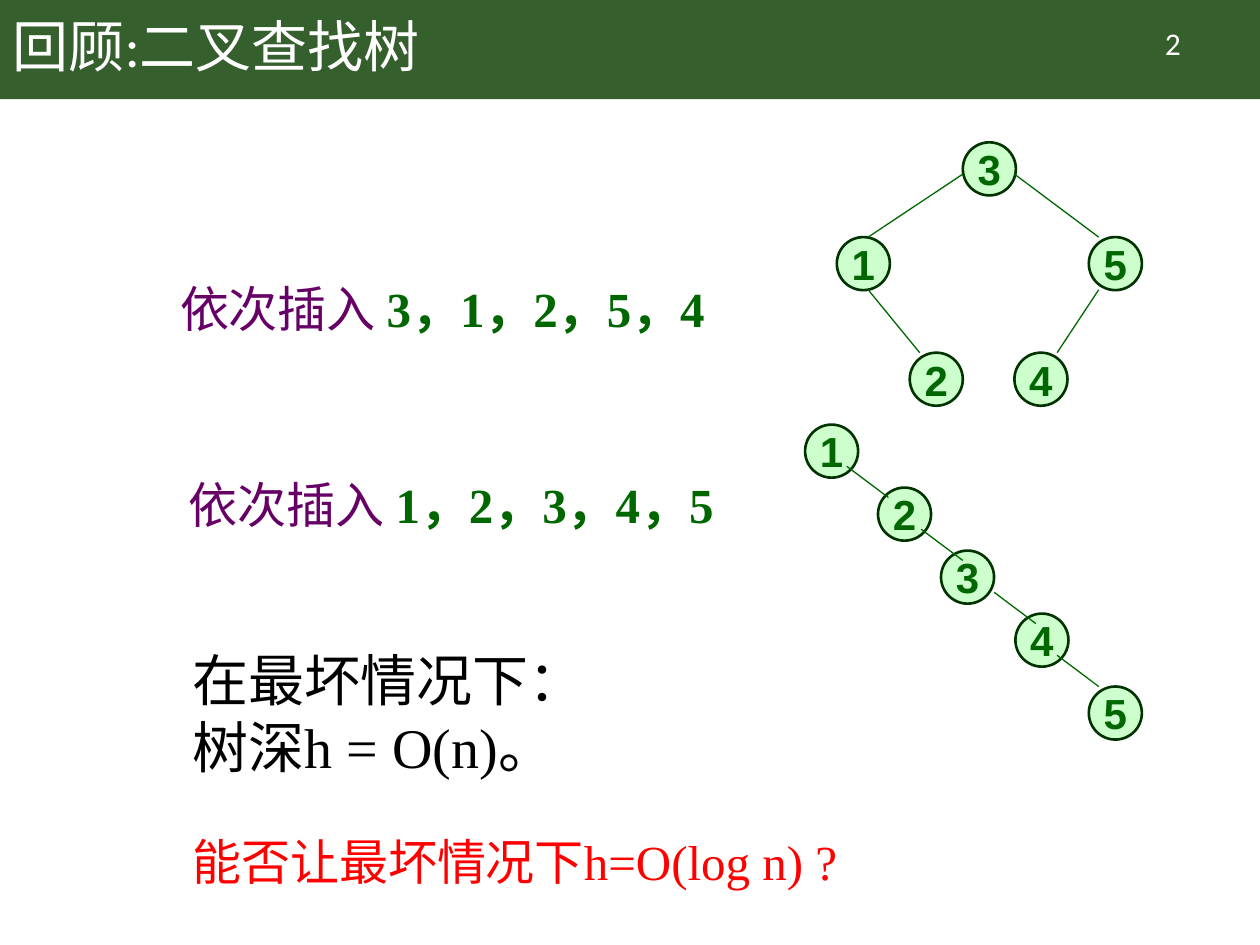
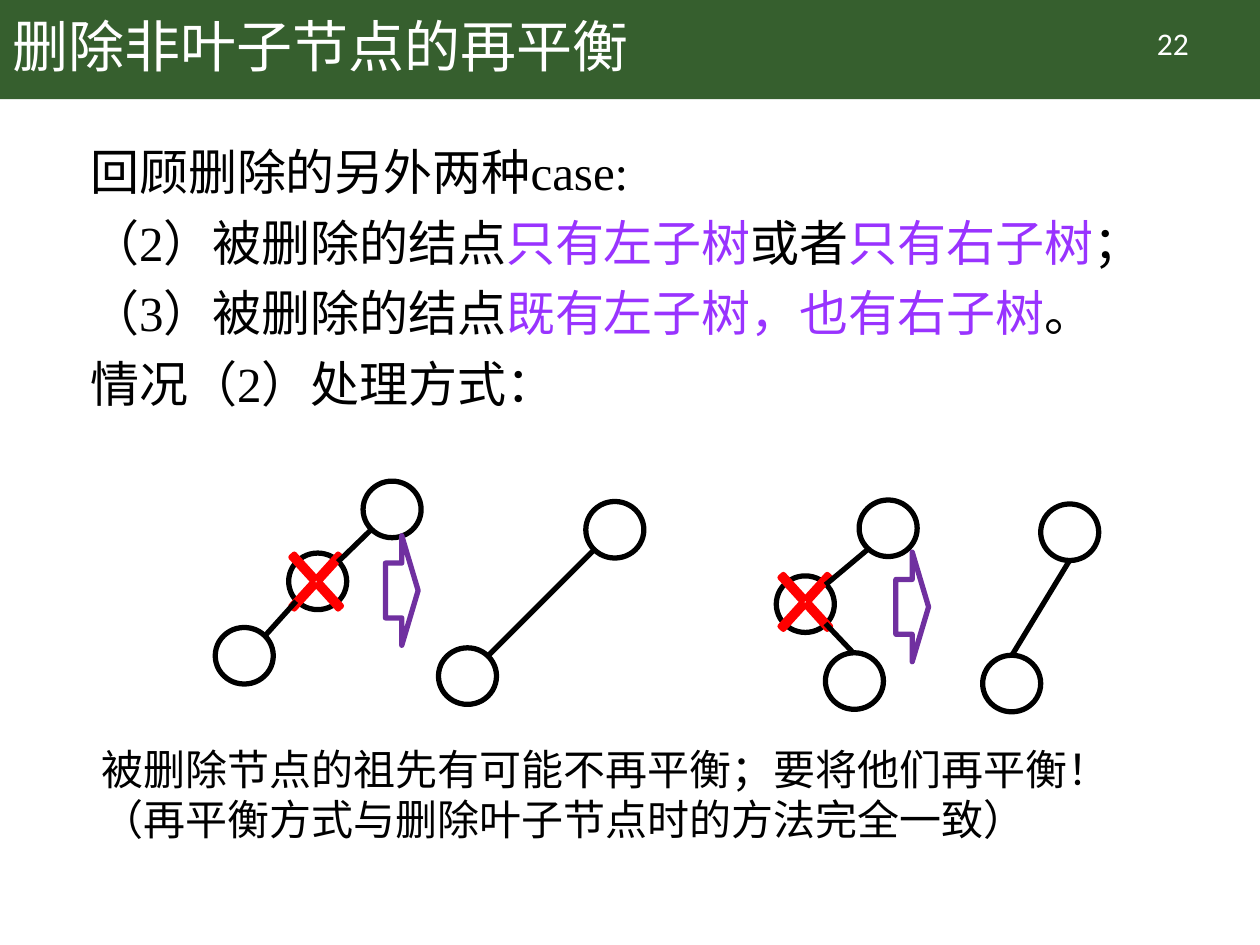
from dataclasses import dataclass
from typing import NamedTuple

from lxml.etree import SubElement
from pptx import Presentation
from pptx.dml.color import RGBColor
from pptx.enum.shapes import MSO_CONNECTOR, MSO_SHAPE
from pptx.enum.text import MSO_ANCHOR, MSO_AUTO_SIZE, PP_ALIGN
from pptx.oxml.ns import qn
from pptx.util import Cm, Pt


@dataclass(frozen=True)
class Theme:
    band: str = "365F2E"
    white: str = "FFFFFF"
    black: str = "000000"
    red: str = "FF0000"
    plum: str = "660066"
    green: str = "006600"
    mint: str = "CCFFCC"
    pine: str = "003300"
    violet: str = "9933FF"
    arrow: str = "7030A0"
    head: str = "Calibri"
    body: str = "Times New Roman"
    label: str = "Arial"
    large: int = 32
    main: int = 28
    small: int = 24
    page: int = 18
    thin: float = 0.75
    rim: float = 1.5
    thick: float = 3


THEME = Theme()


class Box(NamedTuple):
    left: float
    top: float
    width: float
    height: float


class Spot(NamedTuple):
    x: float
    y: float


class Edge(NamedTuple):
    start: Spot
    end: Spot


class Node(NamedTuple):
    key: str
    spot: Spot


class Span(NamedTuple):
    text: str
    color: str = THEME.black
    bold: bool = False


@dataclass(frozen=True)
class Note:
    box: Box
    lines: list[list[Span]]
    size: int = THEME.main
    space: float = 1.0
    before: int = 0
    grow: bool = True


@dataclass(frozen=True)
class Case:
    nodes: list[Spot]
    edges: list[Edge]
    cross: Spot
    arrow: Spot


BAND = Box(0, 0, 25.4, 2)
TITLE = Box(0, 0, 21.9, 2)
PAGE = Box(22.12, 0.36, 3.05, 1.02)
KEY_SIZE = 1.07
RING = (1.17, 1.14)
CROSS = (1.83, 2.01)
ARROW = (0.66, 2.21)


def order(keys: str, box: Box) -> Note:
    line = [Span("依次插入 ", THEME.plum), Span(keys, THEME.green, True)]
    return Note(box, [line], space=1.15)


TREE_NOTES = [
    order("3，1，2，5，4", Box(3.38, 5.31, 12.62, 1.5)),
    order("1，2，3，4，5", Box(3.56, 9.27, 12.24, 1.5)),
    Note(Box(3.63, 12.88, 17.68, 3),
         [[Span("在最坏情况下：")], [Span("树深h = O(n)。")]], THEME.large),
    Note(Box(3.63, 16.64, 17.68, 1.45),
         [[Span("能否让最坏情况下h=O(log n) ?", THEME.red)]]),
]
TREE = [
    Node("3", Spot(19.41, 2.87)),
    Node("5", Spot(21.95, 4.78)),
    Node("4", Spot(20.45, 7.11)),
    Node("1", Spot(16.87, 4.78)),
    Node("2", Spot(18.34, 7.11)),
]
TREE_EDGES = [
    Edge(Spot(19.41, 3.51), Spot(17.5, 4.78)),
    Edge(Spot(20.45, 3.51), Spot(22.15, 4.78)),
    Edge(Spot(17.5, 5.84), Spot(18.54, 7.11)),
    Edge(Spot(22.15, 5.84), Spot(21.31, 7.11)),
]
CHAIN = [
    Node("1", Spot(16.23, 8.56)),
    Node("2", Spot(17.7, 9.83)),
    Node("3", Spot(18.97, 11.1)),
    Node("4", Spot(20.47, 12.37)),
    Node("5", Spot(21.95, 13.84)),
]
CHAIN_EDGES = [
    Edge(Spot(x, 9.4 + 1.27 * row), Spot(x + 0.84, 10.03 + 1.27 * row))
    for row, x in enumerate((17.07, 18.57, 20.04, 21.31))
]
CASE_NOTES = [
    Note(Box(1.57, 2.87, 23.62, 6.05), [
        [Span("回顾删除的另外两种case:")],
        [Span("（2）被删除的结点"), Span("只有左子树", THEME.violet),
         Span("或者"), Span("只有右子树", THEME.violet), Span("；")],
        [Span("（3）被删除的结点"),
         Span("既有左子树，也有右子树", THEME.violet), Span("。")],
        [Span("情况（2）处理方式：")],
    ], space=0.9, before=10, grow=False),
    Note(Box(1.8, 14.86, 21.03, 2.31), [
        [Span("被删除节点的祖先有可能不再平衡；要将他们再平衡！")],
        [Span("（再平衡方式与删除叶子节点时的方法完全一致）")],
    ], THEME.small),
]
CASES = [
    Case(
        [Spot(7.32, 9.7), Spot(5.82, 11.15), Spot(4.34, 12.65),
         Spot(11.81, 10.11), Spot(8.84, 13.06)],
        [Edge(Spot(7.49, 10.67), Spot(6.81, 11.33)),
         Edge(Spot(5.97, 12.12), Spot(5.33, 12.83)),
         Edge(Spot(11.99, 11.07), Spot(9.83, 13.23))],
        Spot(5.46, 10.72), Spot(7.77, 10.8)),
    Case(
        [Spot(17.32, 10.08), Spot(15.65, 11.61), Spot(16.64, 13.16),
         Spot(20.98, 10.16), Spot(19.81, 13.21)],
        [Edge(Spot(17.5, 11.07), Spot(16.64, 11.79)),
         Edge(Spot(16.64, 12.57), Spot(17.2, 13.16)),
         Edge(Spot(21.56, 11.3), Spot(20.4, 13.21))],
        Spot(15.32, 11.13), Spot(18.06, 11.13)),
]


def place(box: Box) -> list[Cm]:
    return [Cm(size) for size in box]


def style(run, font: str, size: int, color: str, bold: bool = False) -> None:
    run.font.name = font
    run.font.size = Pt(size)
    run.font.bold = bold
    run.font.color.rgb = RGBColor.from_string(color)


def draw_shape(shapes, kind: MSO_SHAPE, box: Box, fill: str | None = None,
               line: str | None = None, width: float = THEME.thick):
    shape = shapes.add_shape(kind, *place(box))
    shape.shadow.inherit = False
    if fill:
        shape.fill.solid()
        shape.fill.fore_color.rgb = RGBColor.from_string(fill)
    else:
        shape.fill.background()
    if line:
        shape.line.color.rgb = RGBColor.from_string(line)
        shape.line.width = Pt(width)
    else:
        shape.line.fill.background()
    return shape


def draw_edge(shapes, edge: Edge, color: str, width: float) -> None:
    ends = [Cm(size) for spot in edge for size in spot]
    line = shapes.add_connector(MSO_CONNECTOR.STRAIGHT, *ends)
    line.line.color.rgb = RGBColor.from_string(color)
    line.line.width = Pt(width)
    SubElement(line._element.spPr, qn("a:effectLst"))


def draw_note(slide, note: Note) -> None:
    frame = slide.shapes.add_textbox(*place(note.box)).text_frame
    frame.word_wrap = True
    if note.grow:
        frame.auto_size = MSO_AUTO_SIZE.SHAPE_TO_FIT_TEXT
    for row, spans in enumerate(note.lines):
        para = frame.add_paragraph() if row else frame.paragraphs[0]
        para.line_spacing = note.space
        para.space_before = Pt(note.before)
        for span in spans:
            run = para.add_run()
            run.text = span.text
            style(run, THEME.body, note.size, span.color, span.bold)


def draw_tree(slide, nodes: list[Node], edges: list[Edge]) -> None:
    shapes = slide.shapes.add_group_shape().shapes
    for node in nodes:
        disc = draw_shape(shapes, MSO_SHAPE.OVAL,
                          Box(*node.spot, KEY_SIZE, KEY_SIZE),
                          THEME.mint, THEME.pine, THEME.rim)
        frame = disc.text_frame
        frame.text = node.key
        frame.word_wrap = False
        frame.vertical_anchor = MSO_ANCHOR.MIDDLE
        para = frame.paragraphs[0]
        para.alignment = PP_ALIGN.CENTER
        style(para.runs[0], THEME.label, THEME.small, THEME.green, True)
    for edge in edges:
        draw_edge(shapes, edge, THEME.green, THEME.thin)


def draw_case(slide, case: Case) -> None:
    shapes = slide.shapes.add_group_shape().shapes
    for spot in case.nodes:
        draw_shape(shapes, MSO_SHAPE.OVAL, Box(*spot, *RING), line=THEME.black)
    cross = draw_shape(shapes, MSO_SHAPE.MATH_MULTIPLY,
                       Box(*case.cross, *CROSS), THEME.white, THEME.red)
    cross.adjustments[0] = 0.05
    for edge in case.edges:
        draw_edge(shapes, edge, THEME.black, THEME.thick)
    draw_shape(shapes, MSO_SHAPE.RIGHT_ARROW, Box(*case.arrow, *ARROW),
               line=THEME.arrow)


def add_slide(deck, title: str, page: int):
    slide = deck.slides.add_slide(deck.slide_layouts[5])
    band = draw_shape(slide.shapes, MSO_SHAPE.RECTANGLE, BAND, THEME.band)
    slide.shapes._spTree.insert(2, band._element)

    head = slide.shapes.title
    head.left, head.top, head.width, head.height = place(TITLE)
    frame = head.text_frame
    frame.text = title
    frame.auto_size = MSO_AUTO_SIZE.NONE
    frame.vertical_anchor = MSO_ANCHOR.MIDDLE
    para = frame.paragraphs[0]
    para.alignment = PP_ALIGN.LEFT
    para.line_spacing = 0.9
    style(para.runs[0], THEME.head, THEME.large, THEME.white)

    frame = slide.shapes.add_textbox(*place(PAGE)).text_frame
    frame.word_wrap = True
    frame.text = str(page)
    para = frame.paragraphs[0]
    para.alignment = PP_ALIGN.CENTER
    style(para.runs[0], THEME.head, THEME.page, THEME.white)
    return slide


def main() -> None:
    deck = Presentation()
    deck.slide_width, deck.slide_height = Cm(25.4), Cm(19.05)

    slide = add_slide(deck, "回顾:二叉查找树", 2)
    for note in TREE_NOTES:
        draw_note(slide, note)
    draw_tree(slide, CHAIN, CHAIN_EDGES)
    draw_tree(slide, TREE, TREE_EDGES)

    slide = add_slide(deck, "删除非叶子节点的再平衡", 22)
    for note in CASE_NOTES:
        draw_note(slide, note)
    for case in CASES:
        draw_case(slide, case)

    deck.save("out.pptx")


if __name__ == "__main__":
    main()
